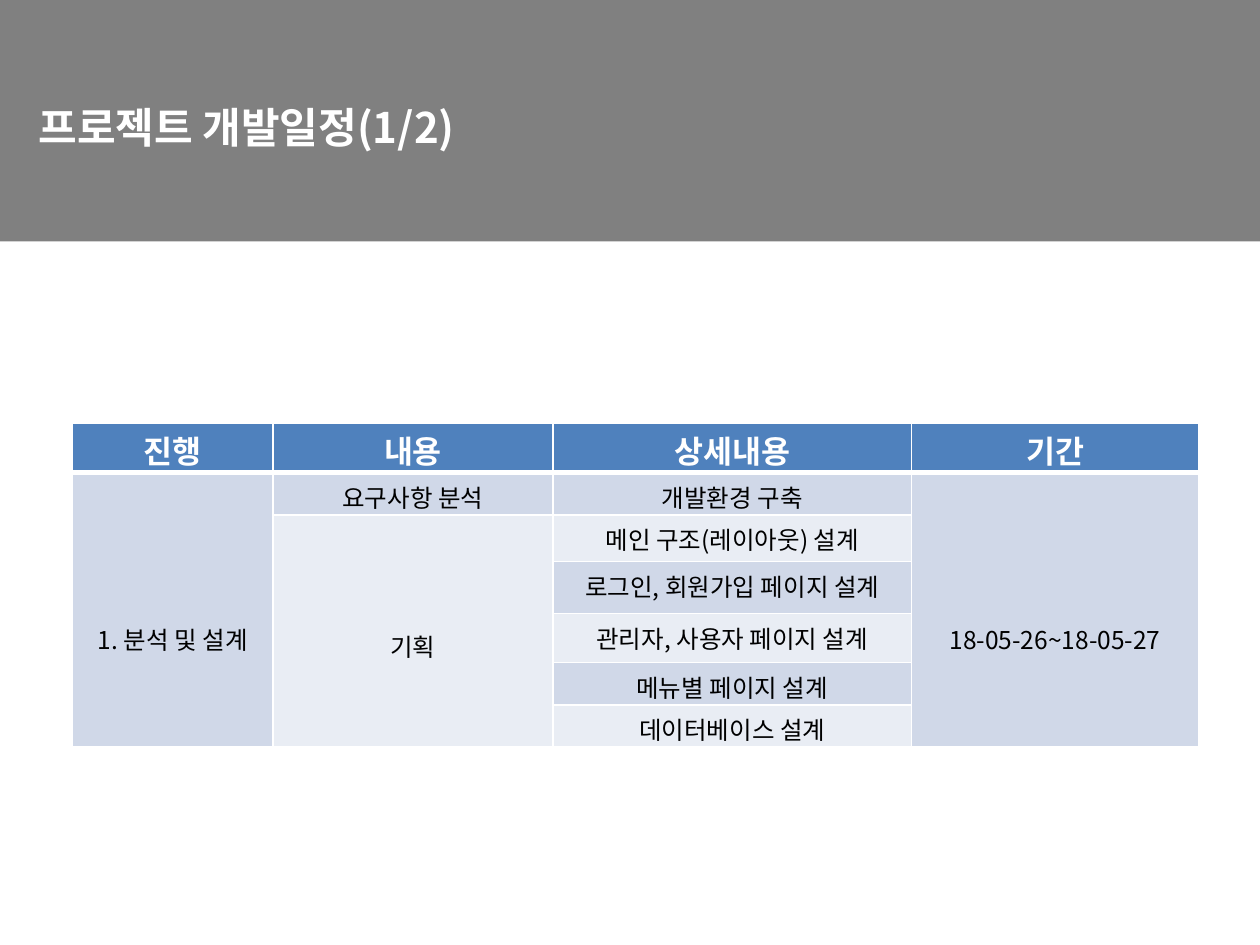
import dataclasses

import pptx
import pptx.dml.color
import pptx.enum.shapes
import pptx.enum.text
import pptx.oxml
import pptx.oxml.ns
import pptx.util

Pt = pptx.util.Pt
RGB = pptx.dml.color.RGBColor.from_string
ALIGN = pptx.enum.text.PP_ALIGN
ANCHOR = pptx.enum.text.MSO_ANCHOR


@dataclasses.dataclass(frozen=True)
class Theme:
    font: str = "Noto Sans CJK KR"
    white: str = "FFFFFF"
    text: str = "000000"
    banner: str = "808080"
    header: str = "4F81BD"
    bands: tuple = ("D0D8E8", "E9EDF4")
    title_size: float = 24
    header_size: float = 18
    body_size: float = 14


THEME = Theme()
COLUMNS = (114.5, 160, 205, 164)
ROWS = (28, 24.2, 26.6, 29.8, 28.2, 24, 24)
HEADINGS = ("진행", "내용", "상세내용", "기간")
DETAILS = (
    "개발환경 구축",
    "메인 구조(레이아웃) 설계",
    "로그인, 회원가입 페이지 설계",
    "관리자, 사용자 페이지 설계",
    "메뉴별 페이지 설계",
    "데이터베이스 설계",
)
# (first row, column, last row, text, top margin)
GROUPS = (
    (1, 0, 6, "1. 분석 및 설계", 84.8),
    (1, 1, 1, "요구사항 분석", 3.6),
    (2, 1, 6, "기획", 64.5),
    (1, 3, 6, "18-05-26~18-05-27", 84.8),
)


def set_all(obj, values):
    for name, value in values.items():
        setattr(obj, name, value)


def write(tf, text, size, color, bold=False, align=ALIGN.CENTER):
    p = tf.paragraphs[0]
    p.alignment = align
    r = p.add_run()
    r.text = text
    set_all(r.font, {"name": THEME.font, "size": Pt(size), "bold": bold})
    r.font.color.rgb = RGB(color)
    ea = pptx.oxml.parse_xml(
        f'<a:ea {pptx.oxml.ns.nsdecls("a")} typeface="{THEME.font}"/>')
    r.font._element.append(ea)


def add_banner(slide, text):
    sp = slide.shapes.add_shape(
        pptx.enum.shapes.MSO_SHAPE.RECTANGLE, 0, 0, Pt(720), Pt(138))
    sp.shadow.inherit = False
    sp.fill.solid()
    sp.fill.fore_color.rgb = RGB(THEME.banner)
    sp.line.fill.background()
    set_all(sp.text_frame, {
        "word_wrap": True, "vertical_anchor": ANCHOR.MIDDLE,
        "margin_left": Pt(22), "margin_top": Pt(10), "margin_bottom": Pt(3.6)})
    write(sp.text_frame, text, THEME.title_size, THEME.white, True, ALIGN.LEFT)


def set_borders(cell, bottom):
    """Draw white edges, 1 pt except for the bottom one."""
    tcPr = cell._tc.get_or_add_tcPr()
    edges = {"lnL": 1, "lnR": 1, "lnT": 1, "lnB": bottom}
    for i, (tag, width) in enumerate(edges.items()):
        tcPr.insert(i, pptx.oxml.parse_xml(
            f'<a:{tag} {pptx.oxml.ns.nsdecls("a")} w="{Pt(width)}"><a:solidFill>'
            f'<a:srgbClr val="{THEME.white}"/></a:solidFill></a:{tag}>'))


def style_cell(cell, row):
    cell.fill.solid()
    fill = THEME.bands[(row - 1) % 2] if row else THEME.header
    cell.fill.fore_color.rgb = RGB(fill)
    set_borders(cell, 1 if row else 3)


def fill_cell(cell, text, top=3.6, header=False):
    set_all(cell, {"margin_top": Pt(top), "margin_bottom": 0,
                   "vertical_anchor": ANCHOR.TOP})
    if header:
        write(cell.text_frame, text, THEME.header_size, THEME.white, True)
    else:
        write(cell.text_frame, text, THEME.body_size, THEME.text)


def add_schedule(slide):
    table = slide.shapes.add_table(
        len(ROWS), len(COLUMNS), Pt(41.5), Pt(242),
        Pt(sum(COLUMNS)), Pt(sum(ROWS))).table
    for column, width in zip(table.columns, COLUMNS):
        column.width = Pt(width)
    for i, height in enumerate(ROWS):
        table.rows[i].height = Pt(height)
        for cell in table.rows[i].cells:
            style_cell(cell, i)
    for i, heading in enumerate(HEADINGS):
        fill_cell(table.cell(0, i), heading, 1.9, header=True)
    for i, detail in enumerate(DETAILS, 1):
        fill_cell(table.cell(i, 2), detail)
    for first, column, last, text, top in GROUPS:
        cell = table.cell(first, column)
        if last > first:
            cell.merge(table.cell(last, column))
        fill_cell(cell, text, top)


def main():
    prs = pptx.Presentation()
    set_all(prs, {"slide_width": Pt(720), "slide_height": Pt(540)})
    slide = prs.slides.add_slide(prs.slide_layouts[6])
    add_banner(slide, "프로젝트 개발일정(1/2)")
    add_schedule(slide)
    prs.save("out.pptx")


if __name__ == "__main__":
    main()
